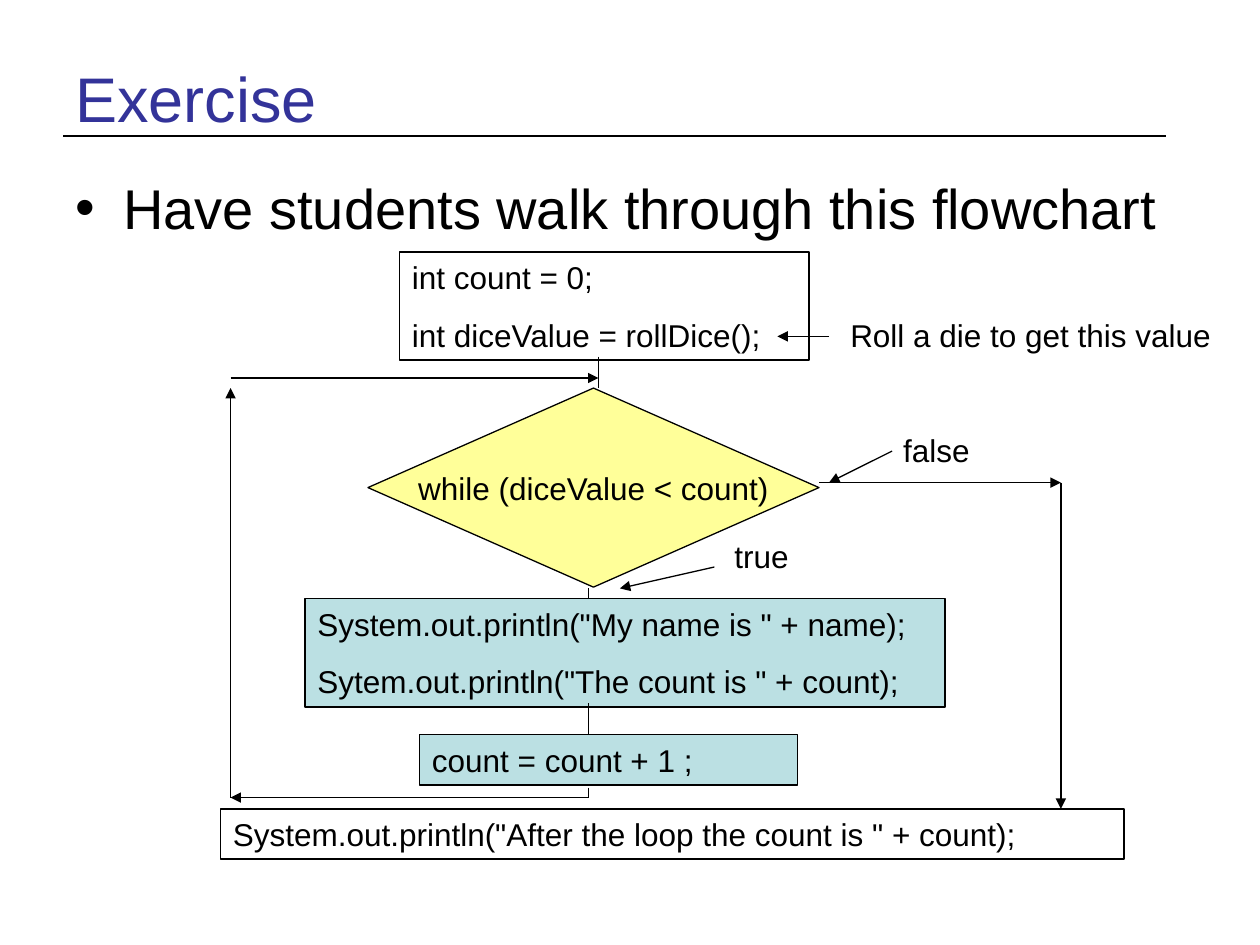
from lxml import etree
from pptx import Presentation
from pptx.dml.color import RGBColor
from pptx.enum.shapes import MSO_CONNECTOR as Connector, MSO_SHAPE as Shape
from pptx.enum.text import MSO_ANCHOR as Anchor, PP_ALIGN as Align
from pptx.oxml.ns import qn
from pptx.util import Inches, Pt


def color(hex_text):
    return RGBColor.from_string(hex_text)


class FlowchartSlide:
    FONT = "Arial"
    BLACK, TITLE = "000000", "333399"
    YELLOW, TEAL = "FFFF99", "BBE0E3"
    TEXT_SIZE = 18
    LINE_GAP = 11.2

    def __init__(self, presentation):
        self.slide = presentation.slides.add_slide(presentation.slide_layouts[6])

    def fill_text(self, shape, lines, size=TEXT_SIZE, hex_text=BLACK, align=Align.LEFT,
                  anchor=Anchor.TOP, wrap=True):
        frame = shape.text_frame
        frame.text = "\n".join(lines)
        frame.word_wrap = wrap
        frame.vertical_anchor = anchor
        for index, paragraph in enumerate(frame.paragraphs):
            paragraph.alignment = align
            if index:
                paragraph.space_before = Pt(self.LINE_GAP)
            for run in paragraph.runs:
                run.font.name = self.FONT
                run.font.size = Pt(size)
                run.font.color.rgb = color(hex_text)

    def text(self, lines, left, top, width, height, **style):
        box = self.slide.shapes.add_textbox(
            Inches(left), Inches(top), Inches(width), Inches(height))
        self.fill_text(box, lines, **style)
        return box

    def bullet(self, line, left, top, width, height, size, indent):
        box = self.text([line], left, top, width, height, size=size)
        properties = box.text_frame.paragraphs[0]._p.get_or_add_pPr()
        properties.set("marL", str(Inches(indent)))
        properties.set("indent", str(-Inches(indent)))
        etree.SubElement(properties, qn("a:buFont"), typeface=self.FONT)
        etree.SubElement(properties, qn("a:buChar"), char="•")

    def node(self, kind, lines, left, top, width, height, fill=None, line_width=1, **style):
        shape = self.slide.shapes.add_shape(
            kind, Inches(left), Inches(top), Inches(width), Inches(height))
        shape.shadow.inherit = False
        if fill:
            shape.fill.solid()
            shape.fill.fore_color.rgb = color(fill)
        else:
            shape.fill.background()
        shape.line.color.rgb = color(self.BLACK)
        shape.line.width = Pt(line_width)
        self.fill_text(shape, lines, **style)

    def line(self, start, end, arrow=False, width=0.75):
        points = [Inches(value) for value in (*start, *end)]
        connector = self.slide.shapes.add_connector(Connector.STRAIGHT, *points)
        connector.line.color.rgb = color(self.BLACK)
        connector.line.width = Pt(width)
        properties = connector._element.spPr
        if arrow:
            etree.SubElement(properties.find(qn("a:ln")), qn("a:tailEnd"), type="triangle")
        etree.SubElement(properties, qn("a:effectLst"))


def main():
    presentation = Presentation()
    presentation.slide_width = Inches(10)
    presentation.slide_height = Inches(7.5)
    chart = FlowchartSlide(presentation)

    # Heading
    chart.line((0.5, 1.08), (9.25, 1.08), width=1.5)
    chart.text(["Exercise"], 0.5, 0.3, 9, 0.95, size=36, hex_text=chart.TITLE,
               anchor=Anchor.MIDDLE)
    chart.bullet("Have students walk through this flowchart",
                 0.5, 1.33, 9, 5.37, size=32, indent=0.38)

    # Flowchart steps
    chart.node(Shape.RECTANGLE, ["int count = 0;", "int diceValue = rollDice();"],
               3.17, 2, 3.25, 0.86)
    chart.node(Shape.DIAMOND, ["while (diceValue < count)"], 2.92, 3.08, 3.58, 1.58,
               fill=chart.YELLOW, line_width=0.75, align=Align.CENTER,
               anchor=Anchor.MIDDLE, wrap=False)
    chart.node(Shape.RECTANGLE,
               ['System.out.println("My name is " + name);',
                'Sytem.out.println("The count is " + count);'],
               2.42, 4.75, 5.08, 0.86, fill=chart.TEAL)
    chart.node(Shape.RECTANGLE, ["count = count + 1\t;"], 3.33, 5.83, 3, 0.4, fill=chart.TEAL)
    chart.node(Shape.RECTANGLE,
               ['System.out.println("After the loop the count is " + count);'],
               1.75, 6.42, 7.17, 0.4)

    # Labels with their pointers
    labels = [
        ("Roll a die to get this value", 6.65, 2.46, 3.06, (6.58, 2.67), (6.17, 2.67)),
        ("true", 5.73, 4.21, 0.63, (5.67, 4.5), (4.92, 4.67)),
        ("false", 7.07, 3.37, 0.73, (7.08, 3.58), (6.58, 3.83)),
    ]
    for label, left, top, width, start, end in labels:
        chart.text([label], left, top, width, 0.4, wrap=False)
        chart.line(start, end, arrow=True)

    # Plain links between steps
    for x, top, bottom in [(4.75, 2.83, 3.08), (4.67, 4.67, 4.75),
                           (4.67, 5.58, 5.83), (4.67, 6.25, 6.33)]:
        chart.line((x, top), (x, bottom))

    # Loop back on the left, exit on the right
    for start, end in [((4.67, 6.33), (1.83, 6.33)), ((1.83, 6.33), (1.83, 3.08)),
                       ((1.83, 3), (4.75, 3)),
                       ((6.5, 3.83), (8.42, 3.83)), ((8.42, 3.83), (8.42, 6.42))]:
        chart.line(start, end, arrow=True)

    presentation.save("out.pptx")


if __name__ == "__main__":
    main()
